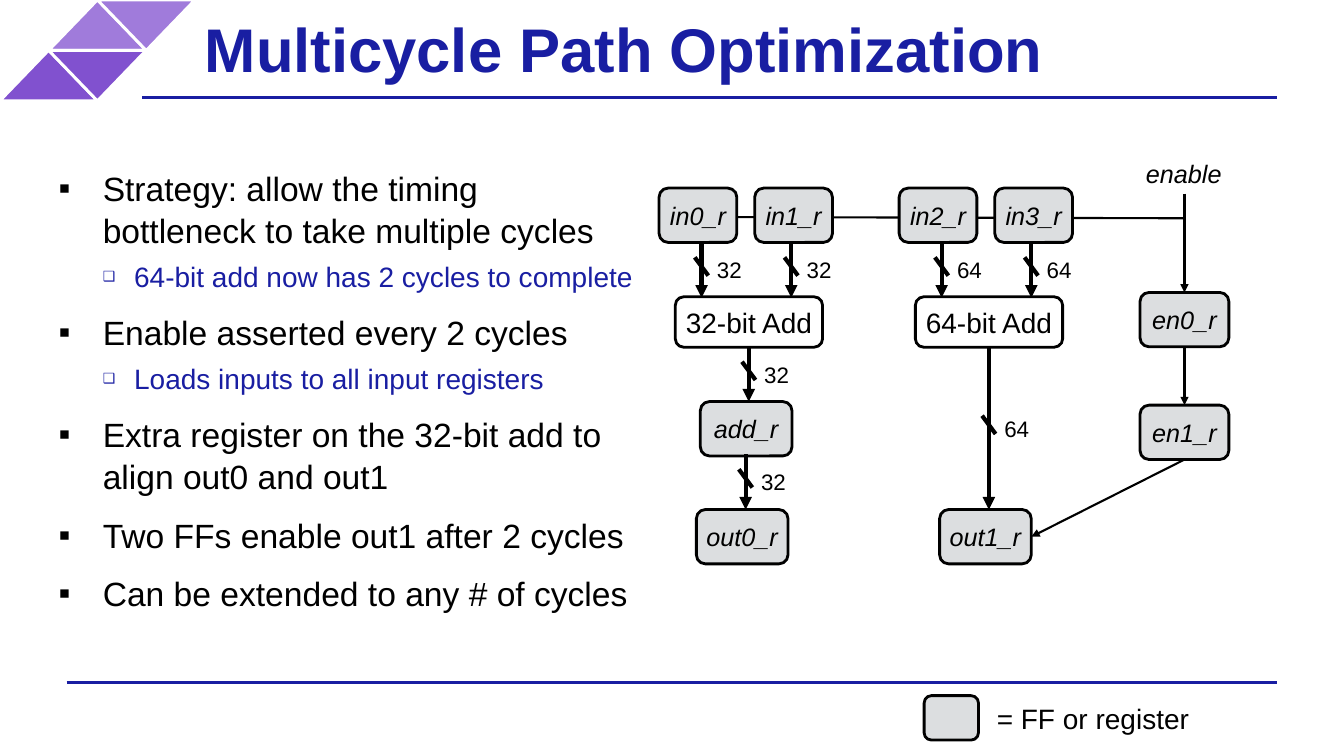
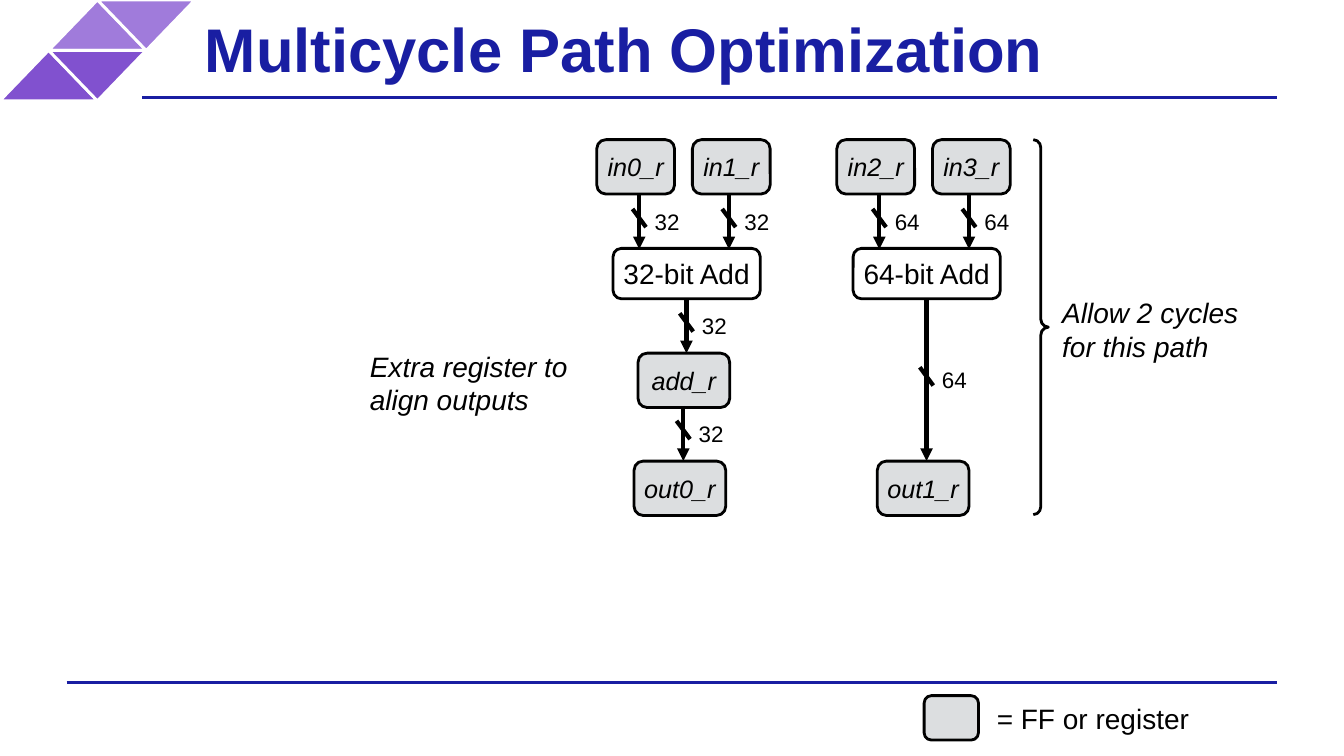
from dataclasses import dataclass

from lxml import etree
from pptx import Presentation
from pptx.dml.color import RGBColor
from pptx.enum.shapes import MSO_CONNECTOR, MSO_SHAPE
from pptx.enum.text import MSO_ANCHOR, MSO_AUTO_SIZE, PP_ALIGN
from pptx.oxml.ns import qn
from pptx.util import Cm, Pt

STRAIGHT = MSO_CONNECTOR.STRAIGHT
ROUND = MSO_SHAPE.ROUNDED_RECTANGLE
PEAK = MSO_SHAPE.ISOSCELES_TRIANGLE
BRACE = MSO_SHAPE.RIGHT_BRACE
TOP, MIDDLE = MSO_ANCHOR.TOP, MSO_ANCHOR.MIDDLE
LEFT, CENTER = PP_ALIGN.LEFT, PP_ALIGN.CENTER
FIXED = MSO_AUTO_SIZE.NONE


@dataclass(frozen=True)
class Theme:
    font: str = "Arial"
    ink: str = "000000"
    blue: str = "191EA2"
    paper: str = "FFFFFF"
    grey: str = "DCDEE0"
    light: str = "A07BDB"
    deep: str = "8151CF"
    title: int = 44
    main: int = 24
    note: int = 20
    name: int = 18
    width: int = 16


@dataclass(frozen=True)
class Level:
    size: int
    color: str
    left: float
    hang: float
    gap: int
    mark: str
    scale: int


THEME = Theme()
LEVELS = (
    Level(THEME.main, THEME.ink, 1.27, 1.11, 12, "▪", 100),
    Level(THEME.note, THEME.blue, 2.06, 0.79, 6, "❑", 50),
)
TITLE = "Multicycle Path Optimization"
POINTS = (
    (0, "Strategy: allow the timing bottleneck to take multiple cycles"),
    (1, "64-bit add now has 2 cycles to complete"),
    (0, "Enable asserted every 2 cycles"),
    (1, "Loads inputs to all input registers"),
    (0, "Extra register on the 32-bit add to align out0 and out1"),
    (0, "Two FFs enable out1 after 2 cycles"),
    (0, "Can be extended to any # of cycles"),
)
# Diagram measures in centimetres
HIGH = 1.37
IN_W, OUT_W, EN_W = 1.96, 2.31, 2.24
PITCH, LANE = 2.41, 6.05


class Deck:
    def __init__(self, theme):
        self.theme = theme
        self.prs = Presentation()
        self.prs.slide_width, self.prs.slide_height = Cm(33.87), Cm(19.05)
        self.slide = None

    # Shared frame: corner ornament, rules, title and legend
    def page(self, layout):
        t = self.theme
        self.slide = self.prs.slides.add_slide(self.prs.slide_layouts[layout])
        for row, fill in enumerate((t.light, t.deep)):
            for side in (0, 1):
                col = 1 - row + side
                tile = self.shape(PEAK, 1.23 * col, 1.27 * row, 2.45, 1.27, fill, t.paper)
                tile.rotation = 180 * side
        for left, y in ((3.58, 2.46), (1.68, 17.2)):
            self.line(left, y, 32.18, y, 2, t.blue)
        head = self.slide.shapes.title
        self.place(head, 4.8, 0, 25.6, 2.41)
        self.frame(head, 0.36)
        self.run(head.text_frame.paragraphs[0], TITLE, t.title, t.blue, bold=True)
        self.box("", 23.29, 17.53, HIGH, 1.12)
        self.text("= FF or register", 24.97, 17.53, 6, 1.14, t.note)

    def place(self, item, x, y, w, h):
        item.left, item.top, item.width, item.height = Cm(x), Cm(y), Cm(w), Cm(h)

    def frame(self, item, pad=0.15, anchor=MIDDLE):
        tf = item.text_frame
        tf.word_wrap, tf.auto_size, tf.vertical_anchor = True, FIXED, anchor
        tf.margin_left = tf.margin_right = tf.margin_top = tf.margin_bottom = Cm(pad)

    def run(self, para, words, size, color, bold=False, slant=False, align=LEFT):
        para.alignment = align
        run = para.add_run()
        run.text = words
        font = run.font
        font.name, font.size = self.theme.font, Pt(size)
        font.bold, font.italic = bold, slant
        font.color.rgb = RGBColor.from_string(color)

    def shape(self, kind, x, y, w, h, fill, edge):
        item = self.slide.shapes.add_shape(kind, Cm(x), Cm(y), Cm(w), Cm(h))
        item.shadow.inherit = False
        if fill:
            item.fill.solid()
            item.fill.fore_color.rgb = RGBColor.from_string(fill)
        else:
            item.fill.background()
        item.line.color.rgb = RGBColor.from_string(edge)
        item.line.width = Pt(2)
        return item

    # Registers are grey with italic names, adders white and upright
    def box(self, words, x, y, w, h=HIGH, adder=False):
        t = self.theme
        item = self.shape(ROUND, x, y, w, h, t.paper if adder else t.grey, t.ink)
        if words:
            self.frame(item)
            self.run(item.text_frame.paragraphs[0], words,
                     t.note if adder else t.name, t.ink,
                     slant=not adder, align=CENTER)

    def text(self, words, x, y, w, h, size, slant=False):
        item = self.slide.shapes.add_textbox(Cm(x), Cm(y), Cm(w), Cm(h))
        self.frame(item)
        self.run(item.text_frame.paragraphs[0], words, size, self.theme.ink, slant=slant)

    def line(self, x1, y1, x2, y2, weight, color, arrow=False):
        item = self.slide.shapes.add_connector(STRAIGHT, Cm(x1), Cm(y1), Cm(x2), Cm(y2))
        item.line.color.rgb = RGBColor.from_string(color)
        item.line.width = Pt(weight)
        props = item._element.spPr
        if arrow:
            etree.SubElement(props.find(qn("a:ln")), qn("a:tailEnd"), type="triangle")
        etree.SubElement(props, qn("a:effectLst"))

    # Bus arrow with its slash and bit width
    def wire(self, bits, x, y1, y2):
        t = self.theme
        mid = (y1 + y2) / 2
        self.line(x, y1, x, y2, 3, t.ink, True)
        self.line(x - 0.17, mid - 0.32, x + 0.17, mid + 0.14, 3, t.ink)
        self.text(bits, x + 0.24, mid - 0.48, 1, 0.96, t.width)

    def points(self, items):
        body = self.slide.placeholders[1]
        self.place(body, 1.32, 4.19, 14.71, 10.57)
        self.frame(body, 0, TOP)
        tf = body.text_frame
        for i, (depth, words) in enumerate(items):
            para = tf.add_paragraph() if i else tf.paragraphs[0]
            look = LEVELS[depth]
            para.level = depth
            para.line_spacing = 1.04
            para.space_before, para.space_after = Pt(look.gap), Pt(0)
            self.run(para, words, look.size, look.color)
            props = para._p.get_or_add_pPr()
            props.set("marL", str(Cm(look.left)))
            props.set("indent", str(-Cm(look.hang)))
            etree.SubElement(props, qn("a:buSzPct"), val=str(look.scale * 1000))
            etree.SubElement(props, qn("a:buFont"), typeface=self.theme.font)
            etree.SubElement(props, qn("a:buChar"), char=look.mark)

    # Both adder lanes, from input to output registers
    def lanes(self, x, y):
        for lane, bits in enumerate(("32", "64")):
            left = x + lane * LANE
            for k in (0, 1):
                self.box(f"in{2 * lane + k}_r", left + k * PITCH, y, IN_W)
                self.wire(bits, left + 1.07 + k * 2.26, y + HIGH, y + 2.76)
            self.box(f"{bits}-bit Add", left + 0.41, y + 2.74, 3.71, 1.27, adder=True)
            self.box(f"out{lane}_r", left + 0.94 + 0.08 * lane, y + 8.1, OUT_W)
        self.box("add_r", x + 1.04, y + 5.38, OUT_W)
        self.wire("32", x + 2.26, y + 4.01, y + 5.38)
        self.wire("32", x + 2.18, y + 6.71, y + 8.1)
        self.wire("64", x + LANE + 2.26, y + 4.01, y + 8.1)

    # Enable chain down to the last output register
    def chain(self, x, end, y):
        t = self.theme
        mid = x + EN_W / 2
        self.text("enable", x, 3.84, 2.4, 1.07, t.name, slant=True)
        start = 4.88
        for k, top in enumerate((7.37, 10.21)):
            self.line(mid, start, mid, top, 1.5, t.ink, True)
            self.box(f"en{k}_r", x, top, EN_W)
            start = top + HIGH
        self.line(mid, start, end, y, 1.5, t.ink, True)


def main():
    deck = Deck(THEME)

    # Strategy with enable logic
    deck.page(1)
    deck.points(POINTS)
    x, y = 16.61, 4.74
    deck.line(29.85, 5.5, x + IN_W, 5.47, 1.5, THEME.ink)
    deck.lanes(x, y)
    deck.chain(28.73, x + LANE + 1.02 + OUT_W, y + 8.1 + HIGH / 2)

    # Two-cycle path
    deck.page(5)
    deck.lanes(15.04, 3.52)
    brace = deck.shape(BRACE, 26.04, 3.52, 0.38, 9.45, None, THEME.ink)
    brace.adjustments[0] = 0.53
    deck.text("Allow 2 cycles for this path", 26.62, 7.29, 4.8, 2.01, THEME.note, slant=True)
    deck.text("Extra register to align outputs", 9.17, 8.64, 5.79, 2.01, THEME.note, slant=True)

    deck.prs.save("out.pptx")


if __name__ == "__main__":
    main()
